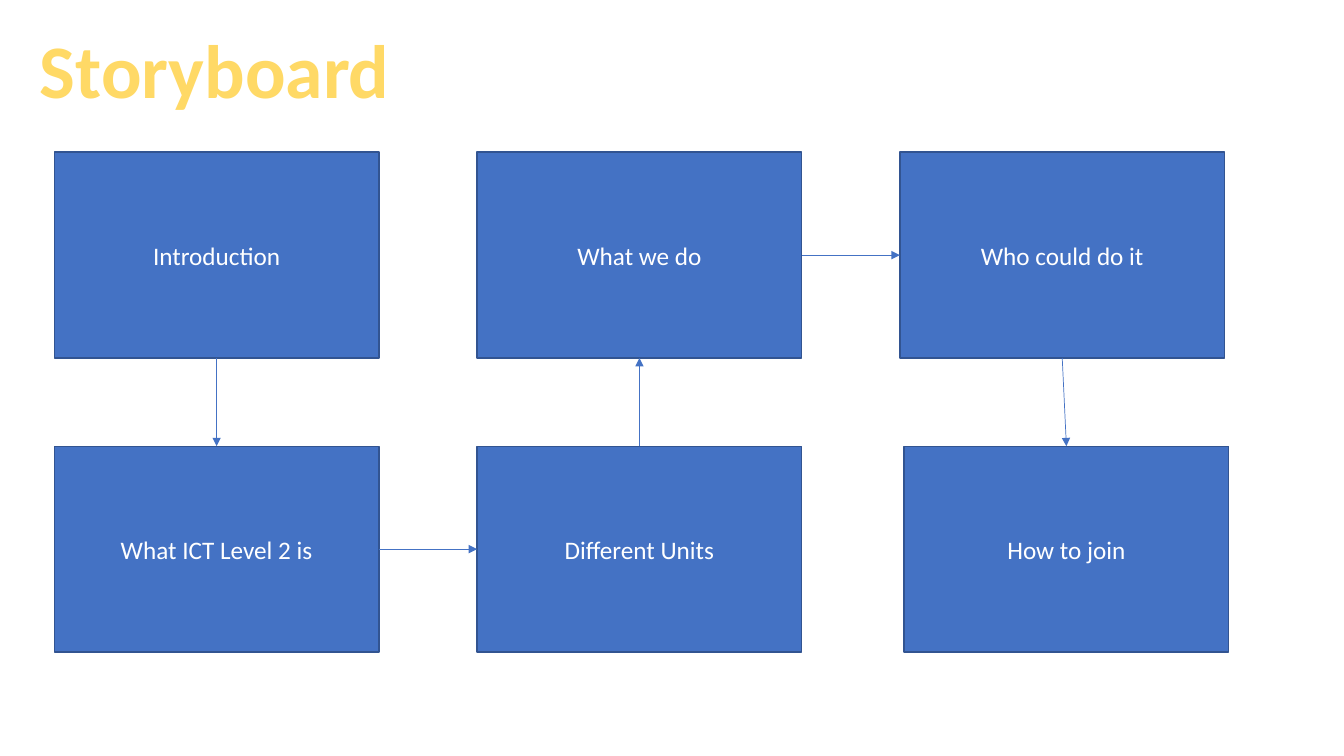
import pptx
import pptx.util
import pptx.dml.color
import pptx.enum.shapes
import pptx.enum.text
import pptx.oxml

Pt = pptx.util.Pt
COLORS = {"title": "FFD966", "box": "4472C4", "border": "325491",
          "label": "FFFFFF", "arrow": "4472C4"}
TOP, BOTTOM, LEFT, RIGHT = 0, 2, 1, 3


def rgb(name):
    return pptx.dml.color.RGBColor.from_string(COLORS[name])


def format_text(frame, size, color, bold=False):
    paragraph = frame.paragraphs[0]
    paragraph.alignment = pptx.enum.text.PP_ALIGN.CENTER
    font = paragraph.runs[0].font
    font.name = "Calibri"
    font.size = Pt(size)
    font.bold = bold
    font.color.rgb = rgb(color)


storyboard = pptx.Presentation()
storyboard.slide_width, storyboard.slide_height = Pt(960), Pt(540)
slide = storyboard.slides.add_slide(storyboard.slide_layouts[5])

# Title
title = slide.shapes.title
title.left, title.top, title.width, title.height = Pt(20), Pt(13), Pt(267), Pt(73)
title.text_frame.text = "Storyboard"
title.text_frame.word_wrap = False
title.text_frame.auto_size = pptx.enum.text.MSO_AUTO_SIZE.NONE
title.text_frame.vertical_anchor = pptx.enum.text.MSO_ANCHOR.TOP
format_text(title.text_frame, 54, "title", bold=True)

# Scenes: label, column, row, and a small shift to the right
scenes = [
    ("Introduction", 0, 0, 0),
    ("What ICT Level 2 is", 0, 1, 0),
    ("Different Units", 1, 1, 0),
    ("What we do", 1, 0, 0),
    ("Who could do it", 2, 0, 0),
    ("How to join", 2, 1, 3),
]
boxes = []
for label, column, row, shift in scenes:
    box = slide.shapes.add_shape(
        pptx.enum.shapes.MSO_SHAPE.RECTANGLE,
        Pt(38.75 + 302 * column + shift), Pt(108.75 + 210 * row), Pt(232), Pt(147))
    box.shadow.inherit = False
    box.fill.solid()
    box.fill.fore_color.rgb = rgb("box")
    box.line.color.rgb = rgb("border")
    box.line.width = Pt(1)
    box.text_frame.text = label
    box.text_frame.vertical_anchor = pptx.enum.text.MSO_ANCHOR.MIDDLE
    format_text(box.text_frame, 18, "label")
    boxes.append(box)

# Arrows from each scene to the next
sides = [(BOTTOM, TOP), (RIGHT, LEFT), (TOP, BOTTOM), (RIGHT, LEFT), (BOTTOM, TOP)]
for scene, next_scene, (start, end) in zip(boxes, boxes[1:], sides):
    arrow = slide.shapes.add_connector(
        pptx.enum.shapes.MSO_CONNECTOR.STRAIGHT, 0, 0, 0, 0)
    arrow.begin_connect(scene, start)
    arrow.end_connect(next_scene, end)
    arrow.line.color.rgb = rgb("arrow")
    arrow.line.width = Pt(0.5)
    namespace = pptx.oxml.ns.nsdecls("a")
    arrow.line._get_or_add_ln().append(
        pptx.oxml.parse_xml(f'<a:tailEnd {namespace} type="triangle"/>'))
    arrow._element.spPr.append(pptx.oxml.parse_xml(f"<a:effectLst {namespace}/>"))

storyboard.save("out.pptx")
